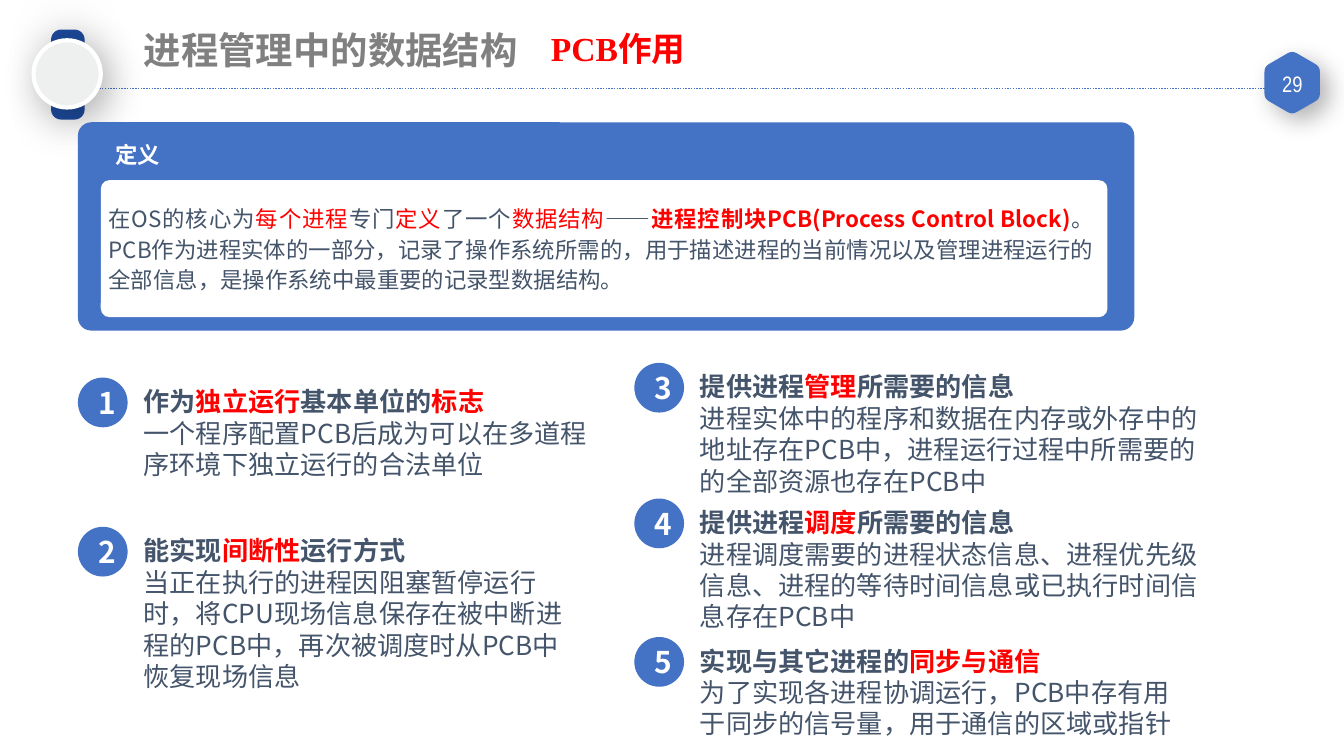
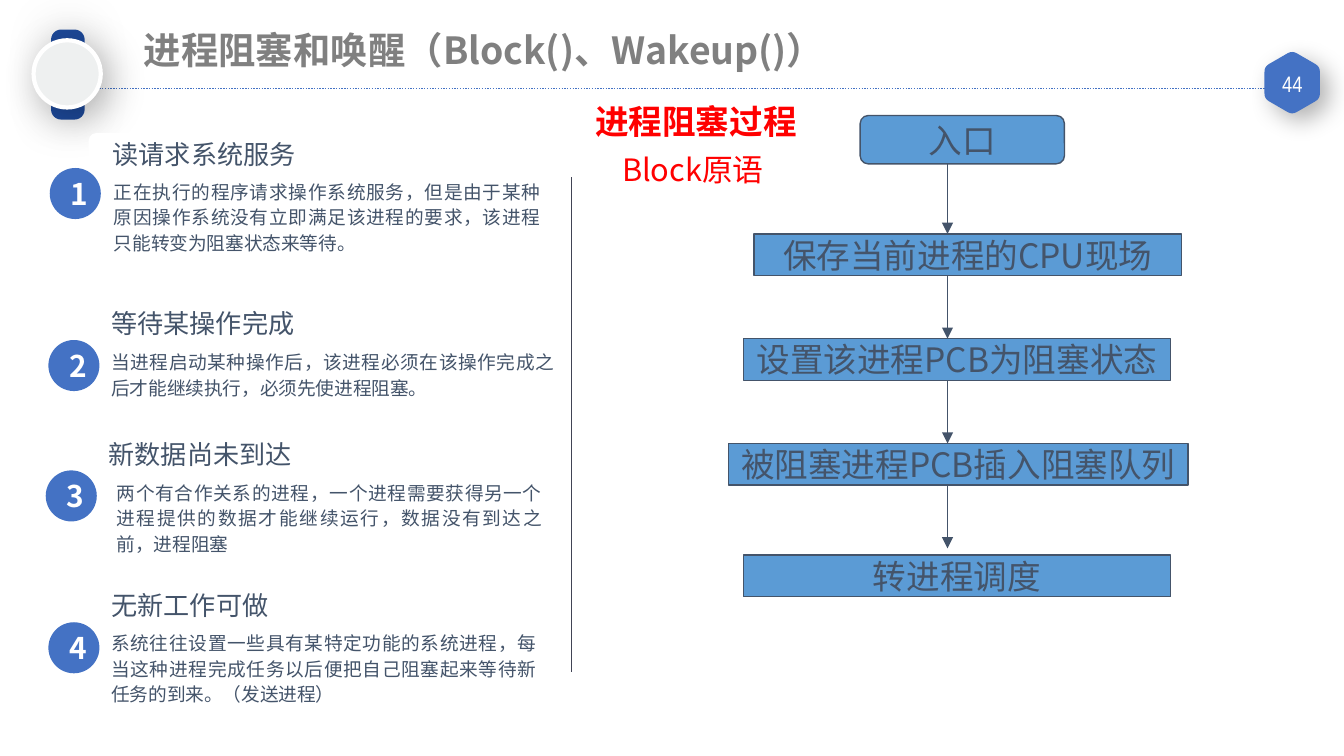
from math import cos, radians, sin

from lxml.etree import SubElement
from pptx import Presentation
from pptx.dml.color import RGBColor
from pptx.enum.dml import MSO_LINE
from pptx.enum.shapes import MSO_CONNECTOR, MSO_SHAPE as SHAPE
from pptx.enum.text import MSO_ANCHOR as ANCHOR, MSO_AUTO_SIZE as AUTOSIZE, PP_ALIGN as ALIGN
from pptx.oxml.ns import qn
from pptx.util import Pt

PX = 9144  # 100 px to the inch
TITLE_ONLY = 5
FONT = "Noto Sans CJK SC"
COLORS = {
    "blue": "4472C4", "navy": "1D4999", "step": "5B9BD5", "text": "44546A",
    "title": "808080", "red": "FF0000", "white": "FFFFFF", "dial": "EEF0F0",
    "divider": "414455", "black": "000000",
}


def rgb(name):
    return RGBColor.from_string(COLORS[name])


def px(*lengths):
    return [round(length * PX) for length in lengths]


# Text
def write(box, *lines, size, color="text", bold=False, align=ALIGN.LEFT, spacing=None,
          font=FONT, wrap=True, grow=True, anchor=ANCHOR.TOP, inset=None):
    """Fill a box; in each line, every second part between bars is red."""
    frame = box.text_frame
    frame.word_wrap = wrap
    frame.auto_size = AUTOSIZE.SHAPE_TO_FIT_TEXT if grow else AUTOSIZE.NONE
    frame.vertical_anchor = anchor
    if inset:
        frame.margin_left = frame.margin_right = inset[0] * PX
        frame.margin_top = frame.margin_bottom = inset[1] * PX
    for index, line in enumerate(lines):
        para = frame.add_paragraph() if index else frame.paragraphs[0]
        para.alignment = align
        if spacing:
            para.line_spacing = spacing
        para.font.name = font
        para.font.size = Pt(size)
        para.font.bold = bold and index == 0
        para.font.color.rgb = rgb(color)
        props = para._p.pPr
        props.set("hangingPunct", "0")
        SubElement(props.find(qn("a:defRPr")), qn("a:ea")).set("typeface", FONT)
        parts = line.split("|")
        for number, part in enumerate(parts):
            span = para.add_run()
            span.text = part
            if len(parts) > 1:
                span.font.color.rgb = rgb("red" if number % 2 else color)
    return box


def label(holder, x, y, w, h, *lines, **style):
    return write(holder.shapes.add_textbox(*px(x, y, w, h)), *lines, **style)


# Shapes and lines
def paint(shape, fill, line=None, width=1):
    shape.shadow.inherit = False
    shape.fill.solid()
    shape.fill.fore_color.rgb = rgb(fill)
    if line:
        shape.line.color.rgb = rgb(line)
        shape.line.width = Pt(width)
    else:
        shape.line.fill.background()
    return shape


def block(holder, kind, x, y, w, h, fill, line=None, width=1, corner=None):
    shape = holder.shapes.add_shape(kind, *px(x, y, w, h))
    if corner is not None:
        shape.adjustments[0] = corner
    return paint(shape, fill, line, width)


def cast_shadow(shape, opacity, blur, distance=0, angle=0):
    effects = shape._element.spPr.find(qn("a:effectLst"))
    shadow = SubElement(effects, qn("a:outerShdw"), blurRad=str(Pt(blur)),
                        dist=str(Pt(distance)), dir=str(angle * 60000),
                        algn="ctr", rotWithShape="0")
    tint = SubElement(shadow, qn("a:srgbClr"), val=COLORS["black"])
    SubElement(tint, qn("a:alpha"), val=str(opacity * 1000))


def rule(holder, x1, y1, x2, y2, color, width, dash=None, arrow=False):
    line = holder.shapes.add_connector(MSO_CONNECTOR.STRAIGHT, *px(x1, y1, x2, y2))
    line.line.color.rgb = rgb(color)
    line.line.width = Pt(width)
    if dash:
        line.line.dash_style = dash
    if arrow:
        SubElement(line.line._get_or_add_ln(), qn("a:tailEnd"), type="triangle")
    SubElement(line._element.spPr, qn("a:effectLst"))


def hexagon(page, center_x, center_y, radius, cut=0.15):
    """Draw an upright hexagon with softly rounded corners."""
    corners = [(center_x + radius * sin(radians(turn)), center_y - radius * cos(radians(turn)))
               for turn in range(0, 360, 60)]
    points = []
    for index, corner in enumerate(corners):
        before, after = corners[index - 1], corners[(index + 1) % 6]
        for step in range(5):
            t = step / 4
            points.append(px(*(c + cut * ((1 - t) ** 2 * (b - c) + t ** 2 * (a - c))
                               for b, c, a in zip(before, corner, after))))
    outline = page.shapes.build_freeform(*points[0], scale=1.0)
    outline.add_line_segments(points[1:], close=True)
    return paint(outline.convert_to_shape(), "blue", "blue")


def number_dot(holder, x, y, size, number):
    dot = block(holder, SHAPE.OVAL, x, y, size, size, "blue")
    write(dot, str(number), size=16, color="white", bold=True, align=ALIGN.CENTER,
          grow=False, anchor=ANCHOR.MIDDLE)


# Frame shared by the slides
def add_page(deck, title, number, title_w, title_h):
    page = deck.slides.add_slide(deck.slide_layouts[TITLE_ONLY])
    rule(page, 33, 66, 943, 66, "blue", 0.75, MSO_LINE.ROUND_DOT)
    cast_shadow(hexagon(page, 961.5, 61.5, 23), 30, 13, 6, 45)
    label(page, 942, 50, 39, 25, str(number), size=12, color="white", font="Arial Narrow",
          align=ALIGN.CENTER, anchor=ANCHOR.MIDDLE, grow=False, inset=(7, 4))
    strap = block(page, SHAPE.ROUNDED_RECTANGLE, 38, 22, 25, 67, "navy", corner=0.3)
    cast_shadow(strap, 17, 27)
    dial = block(page, SHAPE.OVAL, 25, 30, 50, 50, "dial", "white", 2.25)
    cast_shadow(dial, 28, 22, 6, 45)
    heading = page.shapes.title
    heading.left, heading.top, heading.width, heading.height = px(100, 16, title_w, title_h)
    write(heading, title, size=20, color="title", bold=True, inset=(7, 4))
    return page


# Slide content
ROLES = [  # dot x, dot y, text width, text height, heading, body
    (58, 281, 350, 81, "作为|独立运行|基本单位的|标志",
     "一个程序配置PCB后成为可以在多道程序环境下独立运行的合法单位"),
    (58, 392, 346, 128, "能实现|间断性|运行方式",
     "当正在执行的进程因阻塞暂停运行时，将CPU现场信息保存在被中断进程的PCB中，再次被调度时从PCB中恢复现场信息"),
    (472, 270, 396, 104, "提供进程|管理|所需要的信息",
     "进程实体中的程序和数据在内存或外存中的地址存在PCB中，进程运行过程中所需要的的全部资源也存在PCB中"),
    (472, 371, 396, 104, "提供进程|调度|所需要的信息",
     "进程调度需要的进程状态信息、进程优先级信息、进程的等待时间信息或已执行时间信息存在PCB中"),
    (472, 474, 387, 81, "实现与其它进程的|同步与通信",
     "为了实现各进程协调运行，PCB中存有用于同步的信号量，用于通信的区域或指针"),
]
DEFINITION = (
    "在OS的核心为|每个进程|专门|定义|了一个|数据结构|——|进程控制块PCB(Process Control Block)|"
    "。PCB作为进程实体的一部分，记录了操作系统所需的，用于描述进程的当前情况以及管理进程运行的全部信息，"
    "是操作系统中最重要的记录型数据结构。"
)
CAUSES = [  # dot x, dot y, heading y, heading width, body box, heading, body
    (37, 125, 98, 313, (75, 127, 337, 66), "读请求系统服务",
     "正在执行的程序请求操作系统服务，但是由于某种原因操作系统没有立即满足该进程的要求，该进程只能转变为阻塞状态来等待。"),
    (36, 253, 224, 387, (73, 254, 349, 48), "等待某操作完成",
     "当进程启动某种操作后，该进程必须在该操作完成之后才能继续执行，必须先使进程阻塞。"),
    (34, 350, 321, 353, (77, 351, 336, 67), "新数据尚未到达",
     "两个有合作关系的进程，一个进程需要获得另一个进程提供的数据才能继续运行，数据没有到达之前，进程阻塞"),
    (36, 463, 434, 138, (73, 463, 336, 66), "无新工作可做",
     "系统往往设置一些具有某特定功能的系统进程，每当这种进程完成任务以后便把自己阻塞起来等待新任务的到来。（发送进程）"),
]
STEPS = [  # x, y, width, height, text, length of the arrow below
    (640, 86, 152, 36, "入口", 52),
    (561, 174, 318, 31, "保存当前进程的CPU现场", 47),
    (553, 252, 318, 31, "设置该进程PCB为阻塞状态", 47),
    (542, 330, 342, 31, "被阻塞进程PCB插入阻塞队列", 47),
    (553, 413, 318, 31, "转进程调度", 0),
]


def pcb_slide(deck):
    page = add_page(deck, "进程管理中的数据结构", 29, 517, 41)
    for number, (x, y, w, h, heading, body) in enumerate(ROLES, 1):
        role = page.shapes.add_group_shape()
        number_dot(role, x, y, 37, number)
        label(role, x + 39, y + 1, w, h, heading, body, size=14, bold=True)

    # Definition panel
    panel = page.shapes.add_group_shape()
    block(panel, SHAPE.ROUNDED_RECTANGLE, 58, 91, 786, 155, "blue", corner=0.064)
    block(panel, SHAPE.ROUNDED_RECTANGLE, 75, 134, 749, 102, "white", corner=0.064)
    label(panel, 75, 100, 55, 30, "定义", size=12, color="white", bold=True, align=ALIGN.CENTER)
    definition = label(panel, 71, 145, 753, 79, DEFINITION, size=12,
                       align=ALIGN.JUSTIFY, spacing=1.14)
    definition.text_frame.paragraphs[0].runs[7].font.bold = True
    label(page, 400, 16, 158, 40, "PCB作用", size=18, color="red", bold=True,
          font="Times New Roman")


def block_slide(deck):
    page = add_page(deck, "进程阻塞和唤醒（Block()、Wakeup()）", 44, 750, 75)
    rule(page, 425, 500, 425, 132, "divider", 0.25)
    block(page, SHAPE.ROUNDED_RECTANGLE, 66, 99, 334, 92, "white", corner=0.064)
    for number, (x, y, top, w, body_box, heading, body) in enumerate(CAUSES, 1):
        cause = page.shapes.add_group_shape()
        number_dot(cause, x, y, 38, number)
        label(cause, x + 37, top, w, 34, heading, size=14)
        label(cause, *body_box, body, size=10, align=ALIGN.JUSTIFY, spacing=1.14)

    # Flow chart
    flow = page.shapes.add_group_shape()
    for index, (x, y, w, h, text, length) in enumerate(STEPS):
        kind = SHAPE.FLOWCHART_PROCESS if index else SHAPE.FLOWCHART_ALTERNATE_PROCESS
        step = block(flow, kind, x, y, w, h, "step", "text", 0.75)
        write(step, text, size=18, align=ALIGN.CENTER, wrap=False, grow=False,
              anchor=ANCHOR.MIDDLE)
        if length:
            rule(flow, 705, y + h, 705, y + h + length, "text", 0.75, arrow=True)
    label(page, 453, 107, 131, 38, "Block原语", size=16.5, color="red")
    label(page, 433, 70, 182, 40, "进程阻塞过程", size=18, color="red", bold=True)


def main():
    deck = Presentation()
    deck.slide_width = 1000 * PX
    deck.slide_height = deck.slide_width * 9 // 16
    pcb_slide(deck)
    block_slide(deck)
    deck.save("out.pptx")


if __name__ == "__main__":
    main()
